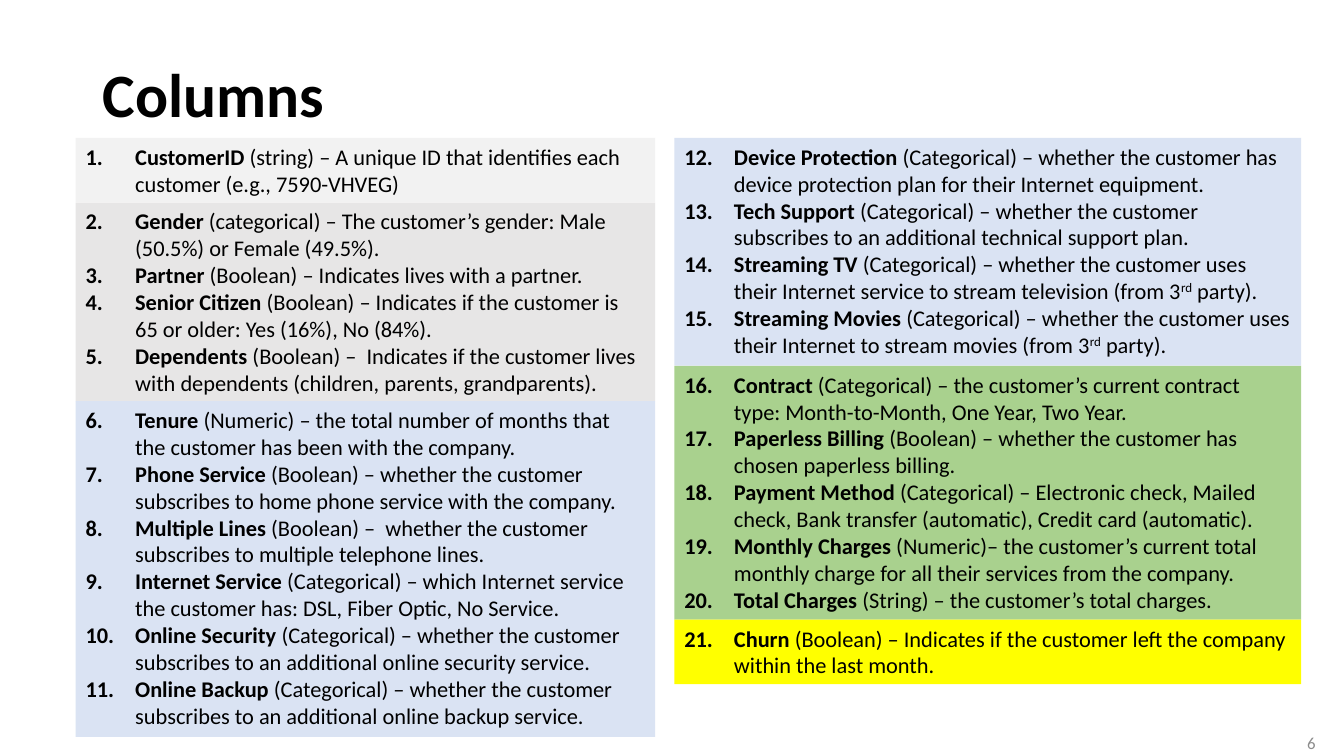
"""Build the slide that lists the dataset columns by group."""
import pptx
import pptx.dml.color
import pptx.enum.shapes
import pptx.enum.text
import pptx.util
from lxml import etree

Pt = pptx.util.Pt
ANCHOR = pptx.enum.text.MSO_ANCHOR
ALIGN = pptx.enum.text.PP_ALIGN

TITLE = "Columns"
PAGE_NUMBER = "6"
TOP = 98.6
INDENT = 35.5

CUSTOMER = [
    ("CustomerID", " (string) – A unique ID that identifies each customer (e.g., 7590-VHVEG)"),
]
DEMOGRAPHICS = [
    ("Gender", " (categorical) – The customer’s gender: Male (50.5%) or Female (49.5%)."),
    ("Partner", " (Boolean) – Indicates lives with a partner."),
    ("Senior Citizen", " (Boolean) – Indicates if the customer is 65 or older: Yes (16%), No (84%)."),
    ("Dependents", " (Boolean) –  Indicates if the customer lives with dependents "
                   "(children, parents, grandparents)."),
]
SERVICES = [
    ("Tenure", " (Numeric) – the total number of months that the customer has been with the company."),
    ("Phone Service", " (Boolean) – whether the customer subscribes to home phone service with the company."),
    ("Multiple Lines", " (Boolean) –  whether the customer subscribes to multiple telephone lines."),
    ("Internet Service", " (Categorical) – which Internet service the customer has: "
                         "DSL, Fiber Optic, No Service."),
    ("Online Security", " (Categorical) – whether the customer subscribes to an additional "
                        "online security service."),
    ("Online Backup", " (Categorical) – whether the customer subscribes to an additional "
                      "online backup service."),
]
MORE_SERVICES = [
    ("Device Protection", " (Categorical) – whether the customer has device protection plan "
                          "for their Internet equipment."),
    ("Tech Support", " (Categorical) – whether the customer subscribes to an additional "
                     "technical support plan."),
    ("Streaming TV", " (Categorical) – whether the customer uses their Internet service "
                     "to stream television (from 3^rd^ party)."),
    ("Streaming Movies", " (Categorical) – whether the customer uses their Internet "
                         "to stream movies (from 3^rd^ party)."),
]
BILLING = [
    ("Contract", " (Categorical) – the customer’s current contract type: Month-to-Month, One Year, Two Year."),
    ("Paperless Billing", " (Boolean) – whether the customer has chosen paperless billing."),
    ("Payment Method", " (Categorical) – Electronic check, Mailed check, Bank transfer (automatic), "
                       "Credit card (automatic)."),
    ("Monthly Charges", " (Numeric)– the customer’s current total monthly charge "
                        "for all their services from the company."),
    ("Total Charges", " (String) – the customer’s total charges."),
]
TARGET = [
    ("Churn", " (Boolean) – Indicates if the customer left the company within the last month."),
]
SIDES = [
    {"left": 54, "width": 414, "groups": [
        (46.1, "F2F2F2", CUSTOMER), (141.9, "E7E6E6", DEMOGRAPHICS), (239.8, "DAE3F3", SERVICES)]},
    {"left": 481.7, "width": 447.8, "groups": [
        (162.7, "DAE3F3", MORE_SERVICES), (181.4, "A9D18E", BILLING), (46.1, "FFFF00", TARGET)]},
]


def rgb(value):
    return pptx.dml.color.RGBColor.from_string(value)


def add_text(para, text, size=16, color="000000", bold=False, raised=False):
    span = para.add_run()
    span.text = text
    span.font.name = "Calibri"
    span.font.size = Pt(size)
    span.font.bold = bold
    span.font.color.rgb = rgb(color)
    if raised:
        span.font._element.set("baseline", "30000")


def number_paragraph(para, start):
    properties = para._p.get_or_add_pPr()
    properties.set("marL", str(Pt(INDENT)))
    properties.set("indent", str(-Pt(INDENT)))
    bullet = etree.SubElement(properties, pptx.oxml.ns.qn("a:buAutoNum"))
    bullet.set("type", "arabicPeriod")
    bullet.set("startAt", str(start))


def add_group(page, left, top, width, height, fill, entries, start):
    box = page.shapes.add_shape(pptx.enum.shapes.MSO_SHAPE.RECTANGLE,
                                Pt(left), Pt(top), Pt(width), Pt(height))
    box.shadow.inherit = False
    box.fill.solid()
    box.fill.fore_color.rgb = rgb(fill)
    box.line.fill.background()
    frame = box.text_frame
    frame.word_wrap = True
    frame.auto_size = pptx.enum.text.MSO_AUTO_SIZE.SHAPE_TO_FIT_TEXT
    frame.vertical_anchor = ANCHOR.TOP
    for index, (name, description) in enumerate(entries):
        para = frame.add_paragraph() if index else frame.paragraphs[0]
        para.alignment = ALIGN.LEFT
        number_paragraph(para, start)
        add_text(para, name, bold=True)
        for part, piece in enumerate(description.split("^")):
            add_text(para, piece, raised=part % 2 == 1)


def main():
    deck = pptx.Presentation()
    deck.slide_width, deck.slide_height = Pt(960), Pt(540)
    page = deck.slides.add_slide(deck.slide_layouts[5])

    title = page.shapes.title
    title.left, title.top, title.width, title.height = Pt(66.2), Pt(17.3), Pt(828), Pt(104.4)
    title.text_frame.vertical_anchor = ANCHOR.MIDDLE
    heading = title.text_frame.paragraphs[0]
    heading.alignment = ALIGN.LEFT
    heading.line_spacing = 0.9
    add_text(heading, TITLE, size=44, bold=True)

    start = 1
    for side in SIDES:
        top = TOP
        for height, fill, entries in side["groups"]:
            add_group(page, side["left"], top, side["width"], height, fill, entries, start)
            top += height
            start += len(entries)

    number = page.shapes.add_textbox(Pt(730.8), Pt(516.2), Pt(216), Pt(28.8))
    number.text_frame.word_wrap = True
    number.text_frame.vertical_anchor = ANCHOR.MIDDLE
    para = number.text_frame.paragraphs[0]
    para.alignment = ALIGN.RIGHT
    add_text(para, PAGE_NUMBER, size=12, color="8C8C8C")

    deck.save("out.pptx")


if __name__ == "__main__":
    main()
